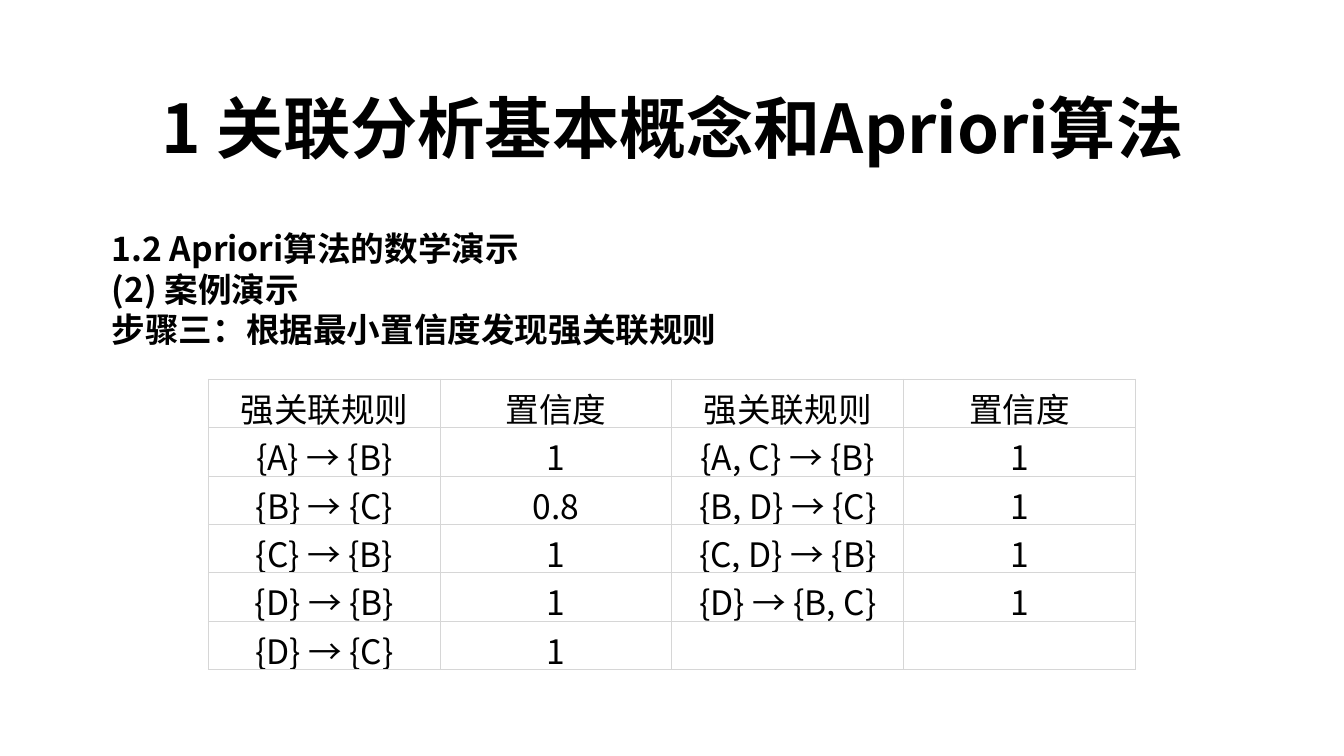
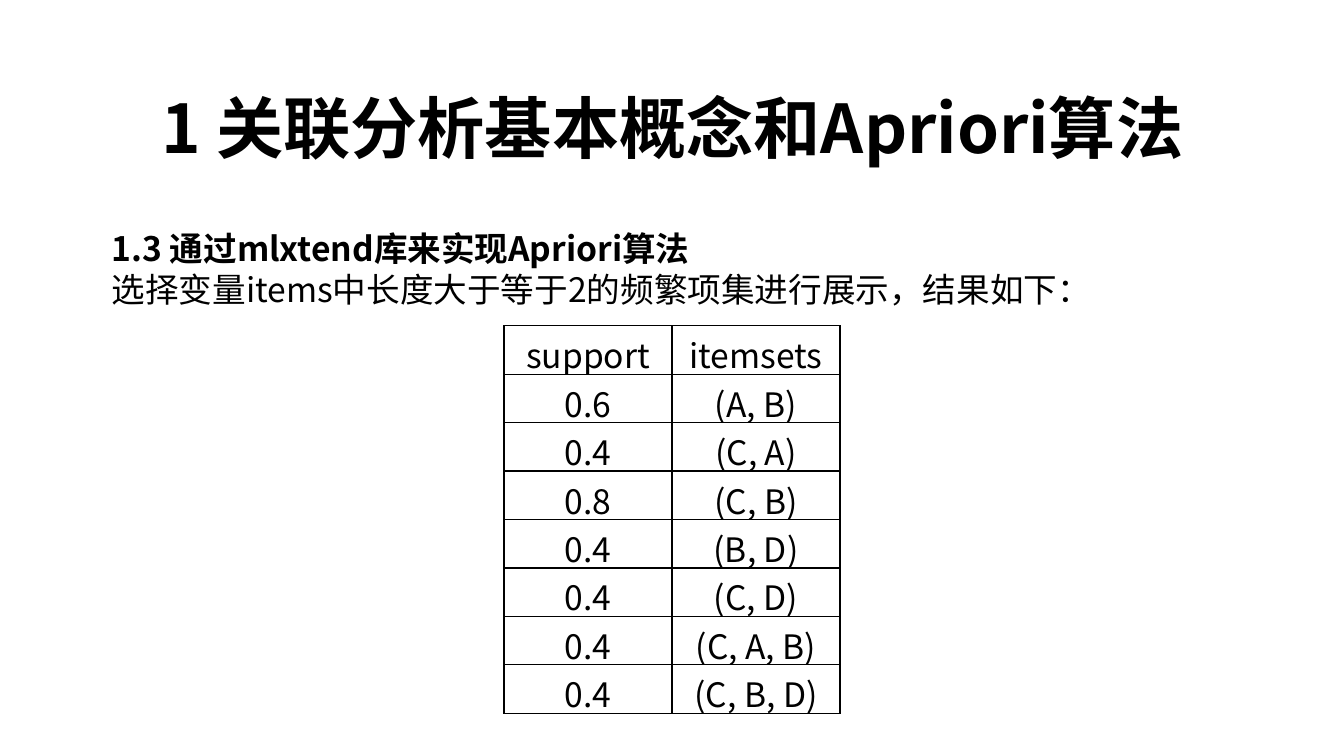
from lxml.etree import SubElement
from pptx import Presentation
from pptx.dml.color import RGBColor
from pptx.enum.text import MSO_ANCHOR, PP_ALIGN
from pptx.oxml.ns import qn
from pptx.util import Pt

FONT = "Noto Sans CJK SC"
BLACK, WHITE, GREY = "000000", "FFFFFF", "D6D6D6"
TITLE = "1 关联分析基本概念和Apriori算法"
BODY_SIZE, TITLE_SIZE = 24, 48
ROW_HEIGHT = 22.3

SLIDES = [
    {
        "lines": [
            ("1.2 Apriori算法的数学演示", True),
            ("(2) 案例演示", True),
            ("步骤三：根据最小置信度发现强关联规则", True),
        ],
        "table_at": (149, 270.8, 662),
        "border": (GREY, 0.75),
        "rows": [
            ("强关联规则", "置信度", "强关联规则", "置信度"),
            ("{A} → {B}", "1", "{A, C} → {B}", "1"),
            ("{B} → {C}", "0.8", "{B, D} → {C}", "1"),
            ("{C} → {B}", "1", "{C, D} → {B}", "1"),
            ("{D} → {B}", "1", "{D} → {B, C}", "1"),
            ("{D} → {C}", "1", "", ""),
        ],
    },
    {
        "lines": [
            ("1.3 通过mlxtend库来实现Apriori算法", True),
            ("选择变量items中长度大于等于2的频繁项集进行展示，结果如下：", False),
        ],
        "table_at": (360, 232.6, 240),
        "border": (BLACK, 1),
        "rows": [
            ("support", "itemsets"),
            ("0.6", "(A, B)"),
            ("0.4", "(C, A)"),
            ("0.8", "(C, B)"),
            ("0.4", "(B, D)"),
            ("0.4", "(C, D)"),
            ("0.4", "(C, A, B)"),
            ("0.4", "(C, B, D)"),
        ],
    },
]


def write(para, text, size, bold=False):
    """Add one run in the deck's font, for Latin and Chinese letters alike."""
    span = para.add_run()
    span.text = text
    span.font.size = Pt(size)
    span.font.bold = bold
    span.font.name = FONT
    span.font.color.rgb = RGBColor.from_string(BLACK)
    SubElement(span.font._element, qn("a:ea"), typeface=FONT)


def add_text(page, left, top, width, lines, size, align):
    line_height = size * 1.21
    box = page.shapes.add_textbox(
        Pt(left), Pt(top), Pt(width), Pt(len(lines) * line_height + 7.2))
    frame = box.text_frame
    frame.word_wrap = True
    for index, (text, bold) in enumerate(lines):
        para = frame.add_paragraph() if index else frame.paragraphs[0]
        para.alignment = align
        para.line_spacing = Pt(line_height)
        write(para, text, size, bold)


deck = Presentation()
deck.slide_width, deck.slide_height = Pt(960), Pt(540)

for content in SLIDES:
    page = deck.slides.add_slide(deck.slide_layouts[6])
    add_text(page, 54, 57.6, 852.5, [(TITLE, True)], TITLE_SIZE, PP_ALIGN.CENTER)
    add_text(page, 72.7, 159.1, 833, content["lines"], BODY_SIZE, PP_ALIGN.LEFT)

    rows = content["rows"]
    left, top, width = content["table_at"]
    border_color, border_width = content["border"]
    table = page.shapes.add_table(
        len(rows), len(rows[0]), Pt(left), Pt(top), Pt(width),
        Pt(len(rows) * ROW_HEIGHT)).table
    table.first_row = table.horz_banding = False
    for row_index, row in enumerate(rows):
        for column_index, text in enumerate(row):
            cell = table.cell(row_index, column_index)
            cell.margin_left = cell.margin_right = 0
            cell.margin_top = cell.margin_bottom = Pt(2.9)
            cell.vertical_anchor = MSO_ANCHOR.MIDDLE
            para = cell.text_frame.paragraphs[0]
            para.alignment = PP_ALIGN.CENTER
            if text:
                write(para, text, BODY_SIZE)
            properties = cell._tc.get_or_add_tcPr()
            for side in ("lnL", "lnR", "lnT", "lnB"):
                line = SubElement(properties, qn(f"a:{side}"), w=str(Pt(border_width)))
                fill = SubElement(line, qn("a:solidFill"))
                SubElement(fill, qn("a:srgbClr"), val=border_color)
            cell.fill.solid()
            cell.fill.fore_color.rgb = RGBColor.from_string(WHITE)

deck.save("out.pptx")
